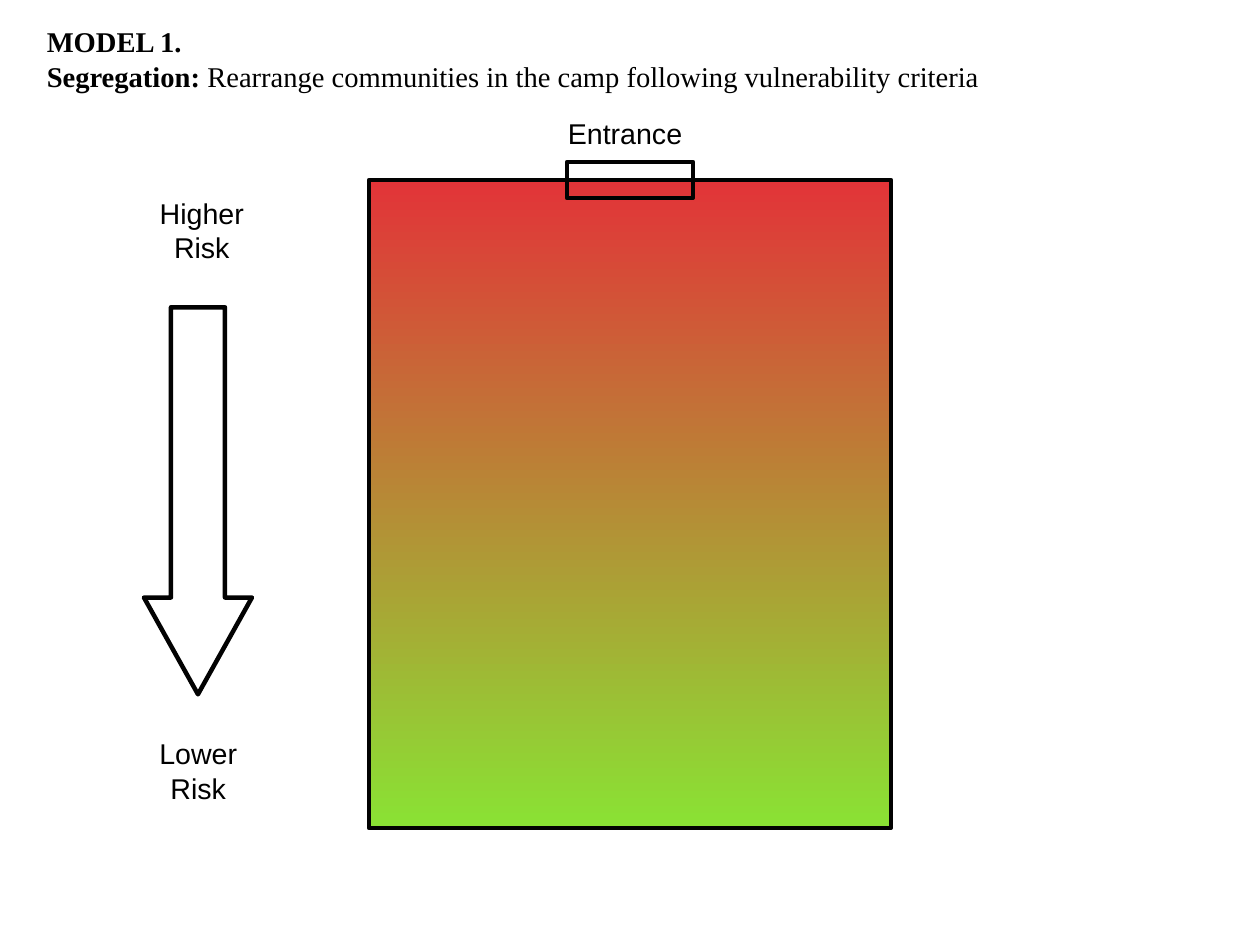
from pptx import Presentation
from pptx.dml.color import RGBColor
from pptx.enum.shapes import MSO_SHAPE as Shape
from pptx.enum.text import MSO_AUTO_SIZE as AutoSize, PP_ALIGN as Align
from pptx.util import Cm, Pt

BLACK = RGBColor(0x00, 0x00, 0x00)
OUTLINE = RGBColor(0x02, 0x02, 0x02)
HIGH_RISK = RGBColor(0xE2, 0x34, 0x38)
LOW_RISK = RGBColor(0x8A, 0xE2, 0x34)
SANS, SERIF = "Arial", "Times New Roman"


class CampPage:
    text_size = Pt(18)
    line_width = Pt(2.83)
    margins = {
        "margin_left": Cm(0.25), "margin_right": Cm(0.25),
        "margin_top": Cm(0.13), "margin_bottom": Cm(0.13),
    }

    def __init__(self, deck):
        self.page = deck.slides.add_slide(deck.slide_layouts[6])

    def outline(self, kind, left, top, width, height):
        """Add an unfilled preset shape with the heavy black line."""
        shape = self.page.shapes.add_shape(
            kind, Cm(left), Cm(top), Cm(width), Cm(height))
        shape.shadow.inherit = False
        shape.fill.background()
        shape.line.color.rgb = OUTLINE
        shape.line.width = self.line_width
        return shape

    def risk_area(self, left, top, width, height):
        area = self.outline(Shape.RECTANGLE, left, top, width, height)
        area.fill.gradient()
        area.fill.gradient_angle = 270
        for stop, color in zip(area.fill.gradient_stops, (HIGH_RISK, LOW_RISK)):
            stop.color.rgb = color

    def arrow_down(self, left, top, width, height, head):
        arrow = self.outline(Shape.DOWN_ARROW, left, top, width, height)
        arrow.adjustments[0] = 0.5
        arrow.adjustments[1] = head

    def text(self, left, top, width, height, lines,
             font=SANS, align=Align.LEFT, wrap=True):
        """Add a text box; each line is a list of (words, bold) pairs."""
        box = self.page.shapes.add_textbox(
            Cm(left), Cm(top), Cm(width), Cm(height))
        frame = box.text_frame
        frame.word_wrap = wrap
        frame.auto_size = AutoSize.SHAPE_TO_FIT_TEXT
        for name, value in self.margins.items():
            setattr(frame, name, value)
        for number, line in enumerate(lines):
            para = frame.add_paragraph() if number else frame.paragraphs[0]
            para.alignment = align
            for words, bold in line:
                span = para.add_run()
                span.text = words
                style = {"name": font, "size": self.text_size, "bold": bold}
                for name, value in style.items():
                    setattr(span.font, name, value)
                span.font.color.rgb = BLACK


def main():
    deck = Presentation()
    deck.slide_width, deck.slide_height = Cm(28), Cm(21)
    camp = CampPage(deck)

    camp.risk_area(8.2, 4, 11.6, 14.4)
    camp.outline(Shape.RECTANGLE, 12.6, 3.6, 2.8, 0.8)
    camp.text(12.37, 2.44, 3.05, 0.97, [[("Entrance", False)]], wrap=False)
    camp.text(0.79, 0.41, 25.4, 1.98, [
        [("MODEL 1.", True)],
        [("Segregation:", True),
         (" Rearrange communities in the camp following vulnerability criteria",
          False)],
    ], font=SERIF)

    camp.arrow_down(3.2, 6.83, 2.4, 8.6, head=0.896)
    for level, left, top in (("Higher", 2.67, 4.22), ("Lower", 2.59, 16.23)):
        camp.text(left, top, 3.63, 1.68,
                  [[(level, False)], [("Risk", False)]], align=Align.CENTER)

    deck.save("out.pptx")


if __name__ == "__main__":
    main()
